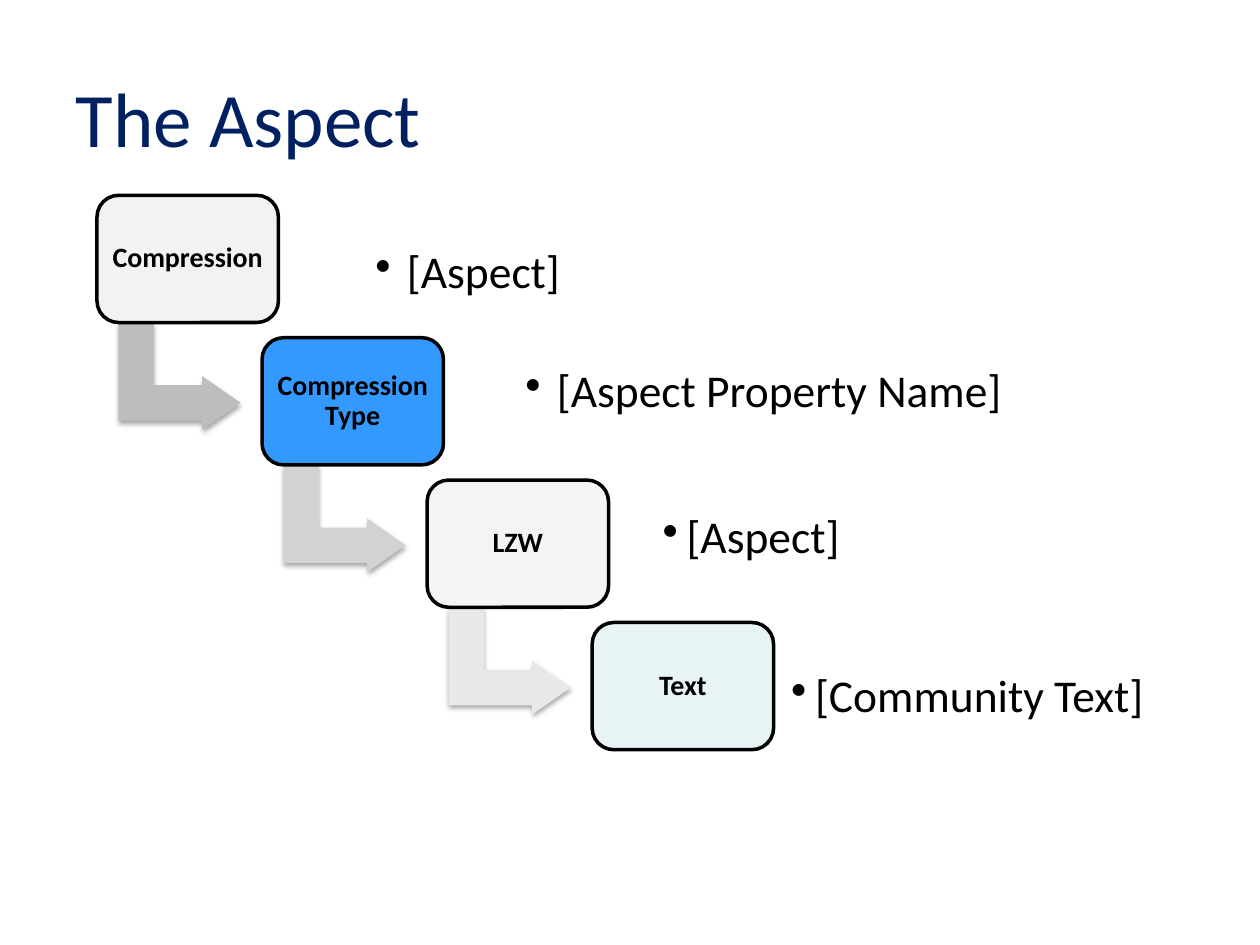
from dataclasses import dataclass
from typing import Optional

from lxml.etree import SubElement
from pptx import Presentation
from pptx.dml.color import RGBColor
from pptx.enum.shapes import MSO_SHAPE
from pptx.enum.text import MSO_ANCHOR, PP_ALIGN
from pptx.oxml.ns import qn
from pptx.util import Inches, Pt


@dataclass(frozen=True)
class Theme:
    font: str = "Calibri"
    title_color: str = "002060"
    ink: str = "000000"
    title_size: int = 44
    step_size: int = 16
    note_size: int = 26
    outline: int = 2
    line_spacing: float = 0.9


@dataclass(frozen=True)
class Step:
    label: str
    fill: str
    opacity: int = 100
    arrow_fill: Optional[str] = None


@dataclass(frozen=True)
class Note:
    text: str
    left: float
    top: float
    width: float
    height: float
    inset: float
    indent: float


THEME = Theme()
STEP_LEFT, STEP_TOP = 0.77, 1.55
STEP_WIDTH, STEP_HEIGHT = 1.44, 1.01
STEP_RIGHT_SHIFT, STEP_DOWN_SHIFT = 1.31, 1.13
ARROW_OFFSET_X, ARROW_OFFSET_Y = 0.23, 0.95
ARROW_WIDTH, ARROW_HEIGHT = 0.85, 0.97
ARROW_ADJUSTMENTS = (0.33, 0.25, 0.36)

STEPS = (
    Step("Compression", "F2F2F2", arrow_fill="BDBDBD"),
    Step("Compression Type", "3399FF", arrow_fill="D2D2D2"),
    Step("LZW", "F2F2F2", opacity=81, arrow_fill="E8E8E8"),
    Step("Text", "8AC6CD", opacity=20),
)
NOTES = (
    Note("[Community Text]", 6.18, 5.01, 3.62, 1.06, 0.1, 0.19),
    Note("[Aspect Property Name]", 4.06, 2.57, 4.47, 1.1, 0.11, 0.25),
    Note("[Aspect]", 2.87, 1.63, 2.06, 1.09, 0.11, 0.25),
    Note("[Aspect]", 5.16, 3.75, 3.62, 1.06, 0.1, 0.19),
)


def add_run(paragraph, text: str, size: int, color: str, bold: bool = False) -> None:
    run = paragraph.add_run()
    run.text = text
    run.font.name = THEME.font
    run.font.size = Pt(size)
    run.font.bold = bold
    run.font.color.rgb = RGBColor.from_string(color)


def prepare_frame(frame, inset: float) -> None:
    frame.word_wrap = True
    frame.vertical_anchor = MSO_ANCHOR.MIDDLE
    frame.margin_left = frame.margin_right = Inches(inset)
    frame.margin_top = frame.margin_bottom = Inches(inset)


def paint(shape, color: str) -> None:
    shape.fill.solid()
    shape.fill.fore_color.rgb = RGBColor.from_string(color)
    shape.shadow.inherit = False


def set_alpha(color_element, percent: int) -> None:
    SubElement(color_element, qn("a:alpha")).set("val", str(percent * 1000))


def add_soft_shadow(shape) -> None:
    effects = shape.element.spPr.find(qn("a:effectLst"))
    shadow = SubElement(effects, qn("a:outerShdw"))
    shadow.set("blurRad", str(Pt(3.1)))
    shadow.set("dist", str(Pt(1.8)))
    shadow.set("dir", "5400000")
    shadow.set("rotWithShape", "0")
    color = SubElement(shadow, qn("a:srgbClr"))
    color.set("val", THEME.ink)
    set_alpha(color, 35)


def add_title(slide, text: str) -> None:
    title = slide.shapes.title
    title.left, title.top = Inches(0.5), Inches(0.3)
    title.width, title.height = Inches(9), Inches(1.25)
    title.text_frame.vertical_anchor = MSO_ANCHOR.MIDDLE
    paragraph = title.text_frame.paragraphs[0]
    paragraph.alignment = PP_ALIGN.LEFT
    add_run(paragraph, text, THEME.title_size, THEME.title_color)


def add_arrow(slide, left: float, top: float, color: str) -> None:
    arrow = slide.shapes.add_shape(
        MSO_SHAPE.BENT_UP_ARROW,
        Inches(left), Inches(top), Inches(ARROW_WIDTH), Inches(ARROW_HEIGHT),
    )
    arrow.rotation = 90
    for index, value in enumerate(ARROW_ADJUSTMENTS):
        arrow.adjustments[index] = value
    paint(arrow, color)
    arrow.line.fill.background()
    add_soft_shadow(arrow)


def add_step(slide, step: Step, index: int) -> None:
    left = STEP_LEFT + index * STEP_RIGHT_SHIFT
    top = STEP_TOP + index * STEP_DOWN_SHIFT
    if step.arrow_fill:
        add_arrow(slide, left + ARROW_OFFSET_X, top + ARROW_OFFSET_Y, step.arrow_fill)
    box = slide.shapes.add_shape(
        MSO_SHAPE.ROUNDED_RECTANGLE,
        Inches(left), Inches(top), Inches(STEP_WIDTH), Inches(STEP_HEIGHT),
    )
    box.adjustments[0] = 0.17
    paint(box, step.fill)
    if step.opacity < 100:
        set_alpha(box.element.spPr.find(qn("a:solidFill"))[0], step.opacity)
    box.line.color.rgb = RGBColor.from_string(THEME.ink)
    box.line.width = Pt(THEME.outline)
    prepare_frame(box.text_frame, 0.06)
    paragraph = box.text_frame.paragraphs[0]
    paragraph.alignment = PP_ALIGN.CENTER
    paragraph.line_spacing = THEME.line_spacing
    add_run(paragraph, step.label, THEME.step_size, THEME.ink, bold=True)


def add_note(slide, note: Note) -> None:
    label = slide.shapes.add_textbox(
        Inches(note.left), Inches(note.top), Inches(note.width), Inches(note.height)
    )
    prepare_frame(label.text_frame, note.inset)
    paragraph = label.text_frame.paragraphs[0]
    paragraph.level = 1
    paragraph.line_spacing = THEME.line_spacing
    properties = paragraph._p.get_or_add_pPr()
    properties.set("marL", str(Inches(note.indent)))
    properties.set("indent", str(-Inches(note.indent)))
    SubElement(properties, qn("a:buChar")).set("char", "•")
    add_run(paragraph, note.text, THEME.note_size, THEME.ink)


def main() -> None:
    presentation = Presentation()
    presentation.slide_width, presentation.slide_height = Inches(10), Inches(7.5)
    slide = presentation.slides.add_slide(presentation.slide_layouts[5])
    add_title(slide, "The Aspect")
    for index, step in enumerate(STEPS):
        add_step(slide, step, index)
    for note in NOTES:
        add_note(slide, note)
    presentation.save("out.pptx")


if __name__ == "__main__":
    main()
